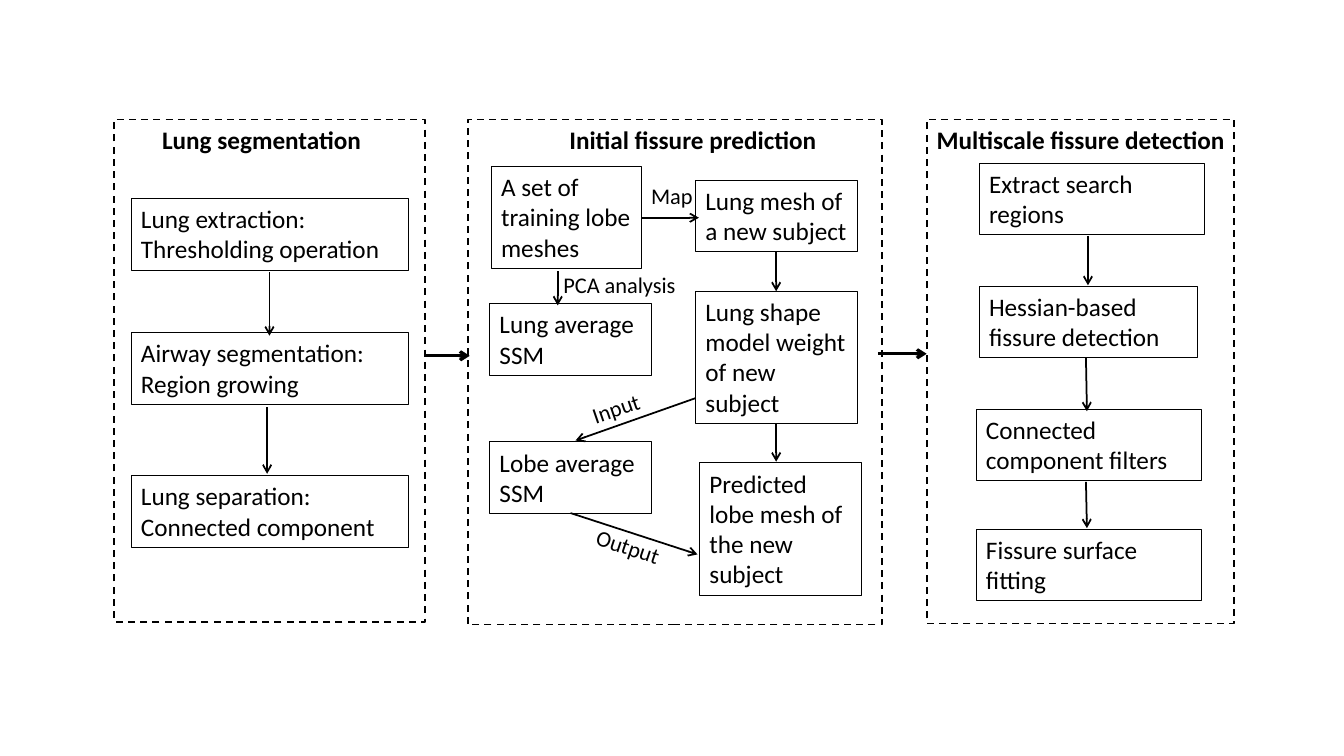
from dataclasses import dataclass

import pptx
import pptx.dml.color
import pptx.enum.dml
import pptx.enum.shapes
import pptx.enum.text
import pptx.oxml
import pptx.oxml.ns
import pptx.util

# The slide is a grid of square cells, 40 columns by 22.5 rows.
SLIDE_WIDTH = pptx.util.Inches(13.33)
SLIDE_HEIGHT = pptx.util.Inches(7.5)
COLUMNS, ROWS = 40, 22.5


@dataclass(frozen=True)
class Theme:
    ink: pptx.dml.color.RGBColor = pptx.dml.color.RGBColor(0, 0, 0)
    font: str = "Calibri"
    body_size: float = 18
    label_size: float = 16
    box_line: float = 0.75
    flow_line: float = 1.25
    stage_line: float = 2.25


THEME = Theme()
ONE_LINE, TWO_LINES, THREE_LINES, FOUR_LINES = 1.2, 2.13, 3.04, 3.94
PANEL_TOP, HEADING_TOP = 3.56, 3.54


def x(columns):
    return round(SLIDE_WIDTH * columns / COLUMNS)


def y(rows):
    return round(SLIDE_HEIGHT * rows / ROWS)


def style_line(line, points):
    line.color.rgb = THEME.ink
    line.width = pptx.util.Pt(points)


def write(shape, text, size, bold=False):
    frame = shape.text_frame
    frame.word_wrap = True
    frame.auto_size = pptx.enum.text.MSO_AUTO_SIZE.SHAPE_TO_FIT_TEXT
    frame.vertical_anchor = pptx.enum.text.MSO_ANCHOR.TOP
    paragraph = frame.paragraphs[0]
    paragraph.alignment = pptx.enum.text.PP_ALIGN.LEFT
    run = paragraph.add_run()
    run.text = text
    run.font.name = THEME.font
    run.font.size = pptx.util.Pt(size)
    run.font.bold = bold
    run.font.color.rgb = THEME.ink


def add_outline(slide, left, top, width, height, points):
    outline = slide.shapes.add_shape(
        pptx.enum.shapes.MSO_SHAPE.RECTANGLE, x(left), y(top), x(width), y(height))
    outline.shadow.inherit = False
    outline.fill.background()
    style_line(outline.line, points)
    return outline


def add_panel(slide, left, width, height):
    panel = add_outline(slide, left, PANEL_TOP, width, height, THEME.flow_line)
    panel.line.dash_style = pptx.enum.dml.MSO_LINE.DASH


def add_steps(slide, steps):
    for left, top, width, height, text in steps:
        step = add_outline(slide, left, top, width, height, THEME.box_line)
        write(step, text, THEME.body_size)


def add_text(slide, left, top, width, text, size, bold=False, angle=0):
    caption = slide.shapes.add_textbox(x(left), y(top), x(width), y(ONE_LINE))
    caption.rotation = angle
    write(caption, text, size, bold)


def add_heading(slide, left, width, text):
    add_text(slide, left, HEADING_TOP, width, text, THEME.body_size, bold=True)


def add_arrows(slide, arrows, points=THEME.flow_line):
    for x1, y1, x2, y2 in arrows:
        arrow = slide.shapes.add_connector(
            pptx.enum.shapes.MSO_CONNECTOR.STRAIGHT, x(x1), y(y1), x(x2), y(y2))
        style_line(arrow.line, points)
        head = pptx.oxml.parse_xml(
            f'<a:tailEnd {pptx.oxml.ns.nsdecls("a")} type="arrow"/>')
        arrow.line._get_or_add_ln().append(head)
        arrow._element.spPr.append(
            pptx.oxml.parse_xml(f'<a:effectLst {pptx.oxml.ns.nsdecls("a")}/>'))


def add_segmentation(slide):
    add_panel(slide, 3.4, 9.24, 14.95)
    add_heading(slide, 4.53, 8.13, "Lung segmentation")
    left, width = 3.9, 8.25
    add_steps(slide, [
        (left, 5.91, width, TWO_LINES, "Lung extraction: Thresholding operation"),
        (left, 9.9, width, TWO_LINES, "Airway segmentation: Region growing"),
        (left, 14.16, width, TWO_LINES, "Lung separation: Connected component"),
    ])
    add_arrows(slide, [(8.02, 8.1, 8.02, 9.99), (7.95, 12.12, 7.95, 14.1)])


def add_prediction(slide):
    add_panel(slide, 13.92, 12.33, 15.03)
    add_heading(slide, 16.65, 8.13, "Initial fissure prediction")
    model_left, model_width = 14.57, 4.81
    subject_left, subject_width = 20.7, 4.83
    add_steps(slide, [
        (14.62, 4.96, 4.48, THREE_LINES, "A set of training lobe meshes"),
        (model_left, 9.04, model_width, TWO_LINES, "Lung average SSM"),
        (model_left, 13.15, model_width, TWO_LINES, "Lobe average SSM"),
        (subject_left, 5.37, subject_width, TWO_LINES, "Lung mesh of a new subject"),
        (subject_left, 8.67, subject_width, FOUR_LINES,
         "Lung shape model weight of new subject"),
        (20.82, 13.78, subject_width, FOUR_LINES,
         "Predicted lobe mesh of the new subject"),
    ])
    add_arrows(slide, [
        (19.08, 6.48, 20.8, 6.48),
        (16.6, 8.07, 16.6, 9.09),
        (23.1, 7.5, 23.1, 8.67),
        (23.1, 12.63, 23.1, 13.74),
        (20.7, 11.85, 17.13, 13.11),
        (16.98, 15.27, 20.76, 16.5),
    ])
    for left, top, width, text, angle in [
        (19.08, 5.28, 4.38, "Map", 0),
        (16.47, 7.92, 4.38, "PCA analysis", 0),
        (17.31, 11.49, 2.67, "Input", 341),
        (17.4, 15.81, 3.18, "Output", 18.5),
    ]:
        add_text(slide, left, top, width, text, THEME.label_size, angle=angle)


def add_detection(slide):
    add_panel(slide, 27.58, 9.15, 15)
    add_heading(slide, 27.58, 9.57, "Multiscale fissure detection")
    add_steps(slide, [
        (29.14, 4.86, 6.72, TWO_LINES, "Extract search regions"),
        (29.14, 8.52, 6.51, TWO_LINES, "Hessian-based fissure detection"),
        (29.05, 12.18, 6.72, TWO_LINES, "Connected component filters"),
        (29.05, 15.75, 6.72, TWO_LINES, "Fissure surface fitting"),
    ])
    add_arrows(slide, [
        (32.38, 7.02, 32.38, 8.49),
        (32.32, 10.65, 32.35, 12.24),
        (32.32, 14.34, 32.35, 15.72),
    ])


def main():
    deck = pptx.Presentation()
    deck.slide_width, deck.slide_height = SLIDE_WIDTH, SLIDE_HEIGHT
    blank_layout = deck.slide_layouts[6]
    slide = deck.slides.add_slide(blank_layout)
    add_segmentation(slide)
    add_prediction(slide)
    add_detection(slide)
    between_stages = [(12.63, 10.59, 13.98, 10.59), (26.13, 10.53, 27.58, 10.53)]
    add_arrows(slide, between_stages, THEME.stage_line)
    deck.save("out.pptx")


if __name__ == "__main__":
    main()
